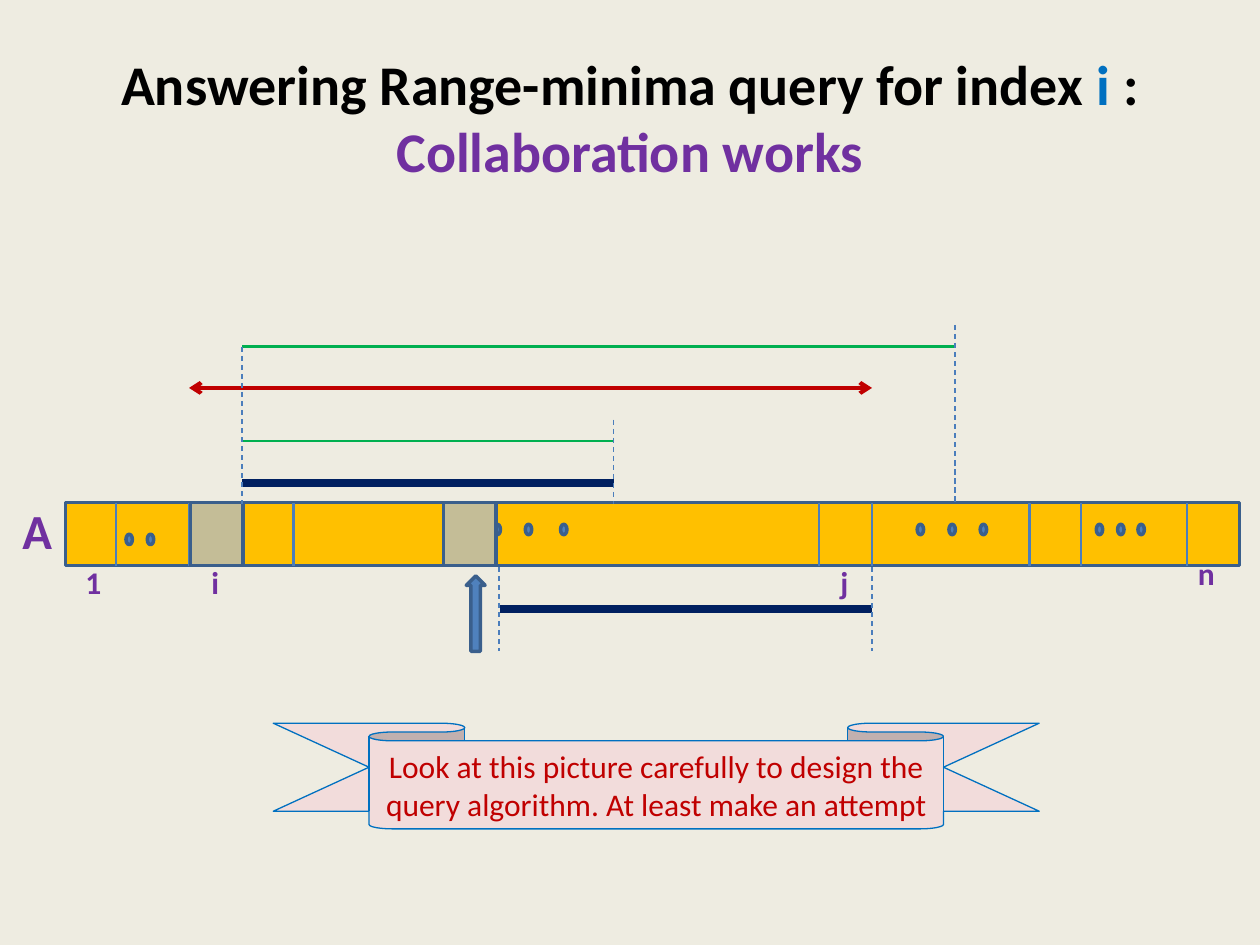
from lxml.etree import SubElement
from pptx import Presentation
from pptx.dml.color import RGBColor
from pptx.enum.dml import MSO_LINE
from pptx.enum.shapes import MSO_CONNECTOR, MSO_SHAPE
from pptx.enum.text import MSO_ANCHOR, MSO_AUTO_SIZE, PP_ALIGN
from pptx.oxml.ns import qn
from pptx.util import Cm, Pt

BLUE, EDGE, RULE = "4F81BD", "3A5F8C", "4B7EBC"
GOLD, TAN, NAVY, GREEN = "FFC000", "C4BD97", "002060", "00B050"
PURPLE, RED = "7030A0", "C00000"


def rgb(hex_text):
    return RGBColor.from_string(hex_text)


class Diagram:
    font = "Calibri"

    def __init__(self, slide):
        self.s = slide

    def run(self, p, text, size, color, bold=False):
        r = p.add_run()
        r.text = text
        r.font.name, r.font.size, r.font.bold = self.font, Pt(size), bold
        r.font.color.rgb = rgb(color)

    def title(self, x, y, w, h, runs):
        sp = self.s.shapes.title
        sp.left, sp.top, sp.width, sp.height = Cm(x), Cm(y), Cm(w), Cm(h)
        tf = sp.text_frame
        tf.vertical_anchor = MSO_ANCHOR.MIDDLE
        p = tf.paragraphs[0]
        p.alignment = PP_ALIGN.CENTER
        for text, color in runs:
            self.run(p, text, 32, color, True)

    def shape(self, kind, x, y, w, h, fill, line=EDGE, weight=2):
        sp = self.s.shapes.add_shape(kind, Cm(x), Cm(y), Cm(w), Cm(h))
        sp.shadow.inherit = False
        sp.fill.solid()
        sp.fill.fore_color.rgb = rgb(fill)
        sp.line.color.rgb = rgb(line)
        sp.line.width = Pt(weight)
        return sp

    def line(self, x1, y1, x2, y2, color=RULE, weight=1.5, dash=False, arrows=False):
        c = self.s.shapes.add_connector(
            MSO_CONNECTOR.STRAIGHT, Cm(x1), Cm(y1), Cm(x2), Cm(y2))
        c.line.color.rgb = rgb(color)
        c.line.width = Pt(weight)
        if dash:
            c.line.dash_style = MSO_LINE.DASH
        if arrows:
            for end in ("a:headEnd", "a:tailEnd"):
                SubElement(c.line._get_or_add_ln(), qn(end), type="arrow")
        SubElement(c._element.spPr, qn("a:effectLst"))

    def guide(self, x, top, bottom):
        self.line(x, top, x, bottom, weight=0.75, dash=True)

    def label(self, text, x, y, w, h=1.02, size=18):
        tf = self.s.shapes.add_textbox(Cm(x), Cm(y), Cm(w), Cm(h)).text_frame
        tf.word_wrap = False
        tf.auto_size = MSO_AUTO_SIZE.SHAPE_TO_FIT_TEXT
        self.run(tf.paragraphs[0], text, size, PURPLE, True)

    def ribbon(self, text, x, y, w, h):
        sp = self.shape(MSO_SHAPE.DOWN_RIBBON, x, y, w, h, "F2DCDB", "0070C0", 0.75)
        sp.adjustments[0], sp.adjustments[1] = 0.167, 0.75
        tf = sp.text_frame
        tf.word_wrap = True
        tf.vertical_anchor = MSO_ANCHOR.MIDDLE
        p = tf.paragraphs[0]
        p.alignment = PP_ALIGN.CENTER
        self.run(p, text, 18, RED)


def main():
    prs = Presentation()
    prs.slide_width, prs.slide_height = Cm(25.4), Cm(19.05)
    s = prs.slides.add_slide(prs.slide_layouts[5])
    s.background.fill.solid()
    s.background.fill.fore_color.rgb = rgb("EEECE1")
    d = Diagram(s)

    d.title(1.27, 0.76, 22.86, 3.18, [
        ("Answering Range-minima query for index ", "000000"), ("i", "0070C0"),
        (" : ", "000000"), ("Collaboration works", PURPLE)])

    # Array A with its cell borders
    top, height, cell = 10.13, 1.27, 1.06
    bottom = top + height
    i_left, i_right, j_right = 3.81, 4.88, 17.58
    d.shape(MSO_SHAPE.RECTANGLE, 1.32, top, 23.67, height, GOLD)
    for x in (2.34, i_left, i_right, 5.92, 16.51, j_right, 20.75, 21.79, 23.93):
        d.line(x, top, x, bottom)

    # Ellipsis dots
    for y, lefts in ((10.77, (2.54, 2.97)),
                     (10.57, (9.96, 10.59, 11.3, 18.49, 19.13, 19.76,
                              22.1, 22.53, 22.94))):
        for x in lefts:
            d.shape(MSO_SHAPE.OVAL, x, y, 0.13, 0.21, BLUE)

    # Highlighted cells
    for x in (3.84, 8.94):
        d.shape(MSO_SHAPE.RECTANGLE, x, top, cell, height, TAN)

    # Labels
    d.label("A", 0.2, 9.96, 1.12, 1.45, 28)
    d.label("1", 1.47, 11.23, 0.84)
    d.label("i", 4.01, 11.23, 0.66)
    d.label("j", 16.69, 11.23, 0.69)
    d.label("n", 23.9, 11.05, 0.86)

    # Query range and the ranges above the array
    short_end, long_end = 12.37, 19.25
    d.line(i_left, 7.82, j_right, 7.82, RED, 2.25, arrows=True)
    d.line(i_right, 9.73, short_end, 9.73, NAVY, 4.5)
    d.line(i_right, 8.89, short_end, 8.89, GREEN)
    d.line(i_right, 6.99, long_end, 6.99, GREEN)
    for x, y in ((i_right, 6.99), (short_end, 8.46), (long_end, 6.55)):
        d.guide(x, y, 10.16)

    # Range below the array
    d.line(10.08, 12.27, j_right, 12.27, NAVY, 4.5)
    for x in (10.06, j_right):
        d.guide(x, 11.43, 13.13)
    d.shape(MSO_SHAPE.UP_ARROW, 9.4, 11.61, 0.38, 1.52, BLUE)

    # Hint
    d.ribbon("Look at this picture carefully to design the query algorithm. "
             "At least make an attempt", 5.51, 14.58, 15.44, 2.13)

    prs.save("out.pptx")


if __name__ == "__main__":
    main()
